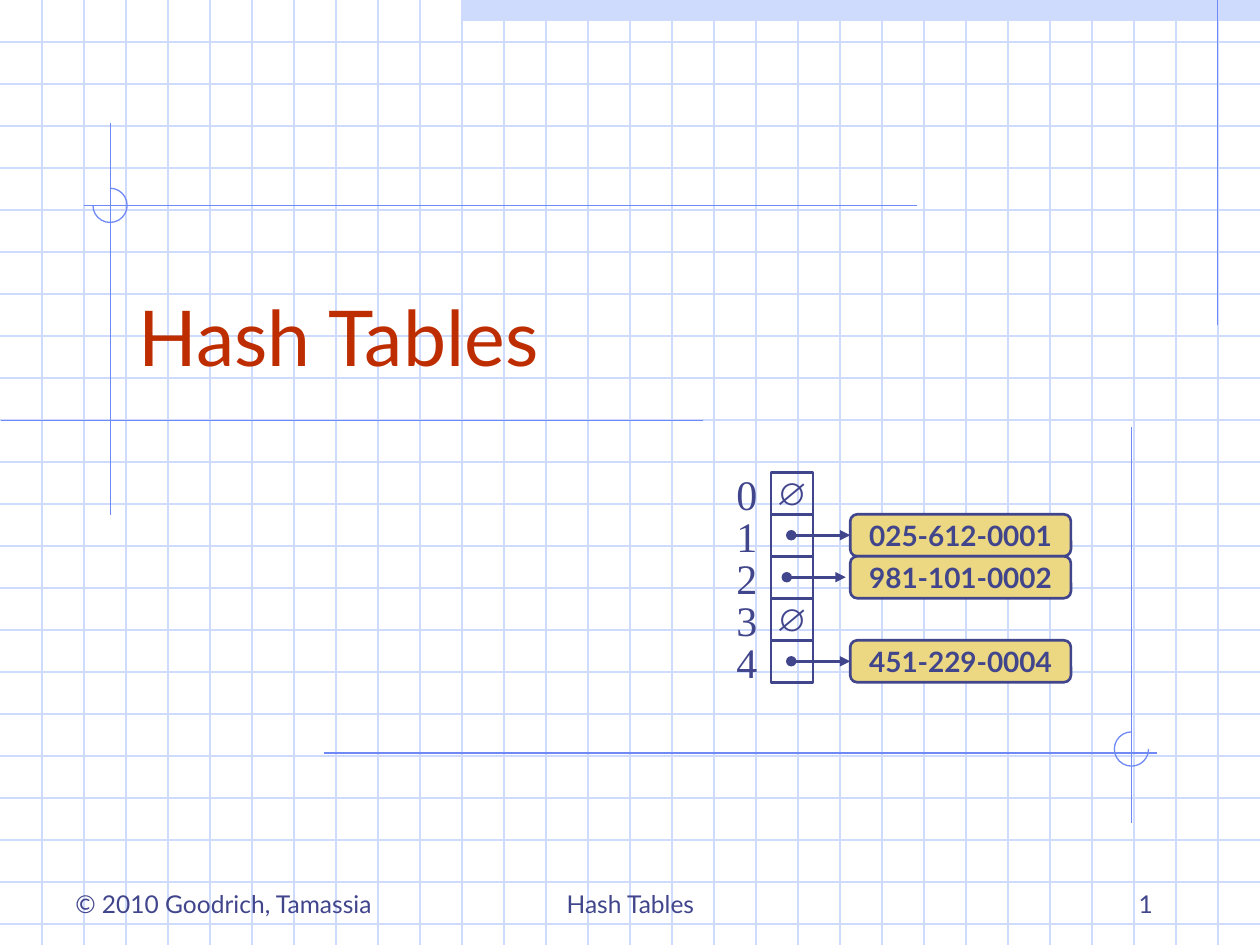
from dataclasses import dataclass
from typing import Any

from lxml import etree
from pptx import Presentation
from pptx import util as u
from pptx.dml.color import RGBColor
from pptx.enum import shapes, text
from pptx.oxml import ns

PALE = RGBColor(0xCF, 0xDB, 0xFD)
BLUE = RGBColor(0x6F, 0x89, 0xF7)
INDIGO = RGBColor(0x40, 0x45, 0x8C)
RED = RGBColor(0xBE, 0x2D, 0x00)
GOLD = RGBColor(0xEC, 0xD8, 0x82)

WIDTH, HEIGHT = 25.4, 19.05
COLUMNS = 30
UNIT = WIDTH / COLUMNS
GRID_ROWS = int(HEIGHT / UNIT)
CELL_LEFT, CELLS_TOP = 15.54, 9.52
KEY_LEFT, KEY_WIDTH = 17.14, 4.45
ARROW_LEFT, ARROW_LENGTH = 15.95, 1.19
ARC_SIZE = 0.69
DEGREE = 0.6

CELL_FONT = {"name": "Arial", "size": u.Pt(18)}
INDEX_FONT = {"name": "Times New Roman", "size": u.Pt(24)}
KEY_FONT = {"name": "Lato", "size": u.Pt(16), "bold": True}
FOOTER_FONT = {"name": "Lato", "size": u.Pt(14)}
TITLE_FONT = {"name": "Lato", "size": u.Pt(44)}


@dataclass
class Box:
    left: float
    top: float
    width: float
    height: float

    def lengths(self) -> list[u.Length]:
        return [u.Cm(value) for value in (self.left, self.top, self.width, self.height)]


@dataclass
class Line:
    start_x: float
    start_y: float
    end_x: float
    end_y: float


@dataclass
class Arc:
    center_x: float
    center_y: float
    start: int
    end: int


@dataclass
class Bucket:
    key: str = ""
    arrow_shift: float = 0


@dataclass
class Footer:
    wording: str
    left: float
    width: float
    align: text.PP_ALIGN


GUIDES = [
    Line(24.55, 0, 24.55, 6.56),
    Line(2.23, 2.47, 2.23, 10.39),
    Line(14.17, 8.48, 0.03, 8.48),
    Line(18.49, 4.14, 1.7, 4.14),
    Line(6.53, 15.18, 23.32, 15.18),
    Line(22.81, 8.61, 22.81, 16.59),
]
ARCS = [Arc(2.22, 4.14, 270, 180), Arc(22.81, 15.1, 0, 270)]
BUCKETS = [
    Bucket(),
    Bucket("025-612-0001"),
    Bucket("981-101-0002", -0.09),
    Bucket(),
    Bucket("451-229-0004"),
]
FOOTERS = [
    Footer("© 2010 Goodrich, Tamassia", 1.27, 6.78, text.PP_ALIGN.LEFT),
    Footer("Hash Tables", 8.69, 8.04, text.PP_ALIGN.CENTER),
    Footer("1", 18.21, 5.28, text.PP_ALIGN.RIGHT),
]


def apply_format(target: Any, values: dict[str, Any]) -> None:
    for name, value in values.items():
        setattr(target, name, value)


def write(shape: Any, wording: str, font: dict[str, Any], color: RGBColor = INDIGO,
          align: text.PP_ALIGN = text.PP_ALIGN.CENTER,
          anchor: text.MSO_ANCHOR = text.MSO_ANCHOR.MIDDLE, wrap: bool = False) -> None:
    frame = shape.text_frame
    apply_format(frame, {"text": wording, "word_wrap": wrap, "vertical_anchor": anchor,
                         "auto_size": text.MSO_AUTO_SIZE.NONE})
    paragraph = frame.paragraphs[0]
    paragraph.alignment = align
    run_font = paragraph.runs[0].font
    apply_format(run_font, font)
    run_font.color.rgb = color


def add_line(slide: Any, line: Line, color: RGBColor, width: float = 0.75) -> Any:
    ends = [u.Cm(value) for value in (line.start_x, line.start_y, line.end_x, line.end_y)]
    connector = slide.shapes.add_connector(shapes.MSO_CONNECTOR.STRAIGHT, *ends)
    connector.line.color.rgb = color
    connector.line.width = u.Pt(width)
    etree.SubElement(connector.element.spPr, ns.qn("a:effectLst"))
    return connector


def add_arrow(slide: Any, line: Line) -> None:
    outline = add_line(slide, line, INDIGO, 1.5).line._get_or_add_ln()
    for tag, kind in (("a:headEnd", "oval"), ("a:tailEnd", "triangle")):
        etree.SubElement(outline, ns.qn(tag), type=kind)


def add_box(slide: Any, kind: shapes.MSO_SHAPE, box: Box, fill: RGBColor | None = None,
            line: RGBColor | None = None, line_width: float = 1.5) -> Any:
    shape = slide.shapes.add_shape(kind, *box.lengths())
    shape.shadow.inherit = False
    if fill is None:
        shape.fill.background()
    else:
        shape.fill.solid()
        shape.fill.fore_color.rgb = fill
    if line is None:
        shape.line.fill.background()
    else:
        shape.line.color.rgb = line
        shape.line.width = u.Pt(line_width)
    return shape


def add_backdrop(slide: Any) -> None:
    add_box(slide, shapes.MSO_SHAPE.RECTANGLE, Box(11 * UNIT, 0, 19 * UNIT, UNIT / 2), PALE)
    for row in range(1, GRID_ROWS + 1):
        add_line(slide, Line(0, row * UNIT, WIDTH, row * UNIT), PALE)
    for column in range(1, COLUMNS):
        add_line(slide, Line(column * UNIT, 0, column * UNIT, HEIGHT), PALE)
    for guide in GUIDES:
        add_line(slide, guide, BLUE)
    for arc in ARCS:
        box = Box(arc.center_x - ARC_SIZE / 2, arc.center_y - ARC_SIZE / 2, ARC_SIZE, ARC_SIZE)
        shape = add_box(slide, shapes.MSO_SHAPE.ARC, box, line=BLUE, line_width=0.75)
        shape.adjustments[0] = arc.start * DEGREE
        shape.adjustments[1] = arc.end * DEGREE


def add_title(slide: Any) -> None:
    title = slide.shapes.title
    lengths = Box(2.54, 4.66, 21.59, 3.17).lengths()
    apply_format(title, dict(zip(("left", "top", "width", "height"), lengths)))
    write(title, "Hash Tables", TITLE_FONT, RED, text.PP_ALIGN.LEFT,
          text.MSO_ANCHOR.BOTTOM, True)
    title.element.getparent().append(title.element)


def add_bucket(slide: Any, index: int, bucket: Bucket) -> None:
    top = CELLS_TOP + index * UNIT
    cell = add_box(slide, shapes.MSO_SHAPE.RECTANGLE, Box(CELL_LEFT, top, UNIT, UNIT),
                   line=INDIGO)
    label = slide.shapes.add_textbox(*Box(14.6, top - 0.2, 0.91, 1.27).lengths())
    write(label, str(index), INDEX_FONT, anchor=text.MSO_ANCHOR.TOP)
    if not bucket.key:
        write(cell, "∅", CELL_FONT)
        return
    entry = add_box(slide, shapes.MSO_SHAPE.ROUNDED_RECTANGLE,
                    Box(KEY_LEFT, top, KEY_WIDTH, UNIT), GOLD, INDIGO)
    write(entry, bucket.key, KEY_FONT)
    start, middle = ARROW_LEFT + bucket.arrow_shift, top + UNIT / 2
    add_arrow(slide, Line(start, middle, start + ARROW_LENGTH, middle))


def add_footer(slide: Any, footer: Footer) -> None:
    box = slide.shapes.add_textbox(*Box(footer.left, 17.36, footer.width, 1.27).lengths())
    write(box, footer.wording, FOOTER_FONT, align=footer.align,
          anchor=text.MSO_ANCHOR.BOTTOM, wrap=True)


def main() -> None:
    presentation = Presentation()
    apply_format(presentation, {"slide_width": u.Cm(WIDTH), "slide_height": u.Cm(HEIGHT)})
    slide = presentation.slides.add_slide(presentation.slide_layouts.get_by_name("Title Only"))
    add_backdrop(slide)
    add_title(slide)
    for index, bucket in enumerate(BUCKETS):
        add_bucket(slide, index, bucket)
    for footer in FOOTERS:
        add_footer(slide, footer)
    presentation.save("out.pptx")


if __name__ == "__main__":
    main()
